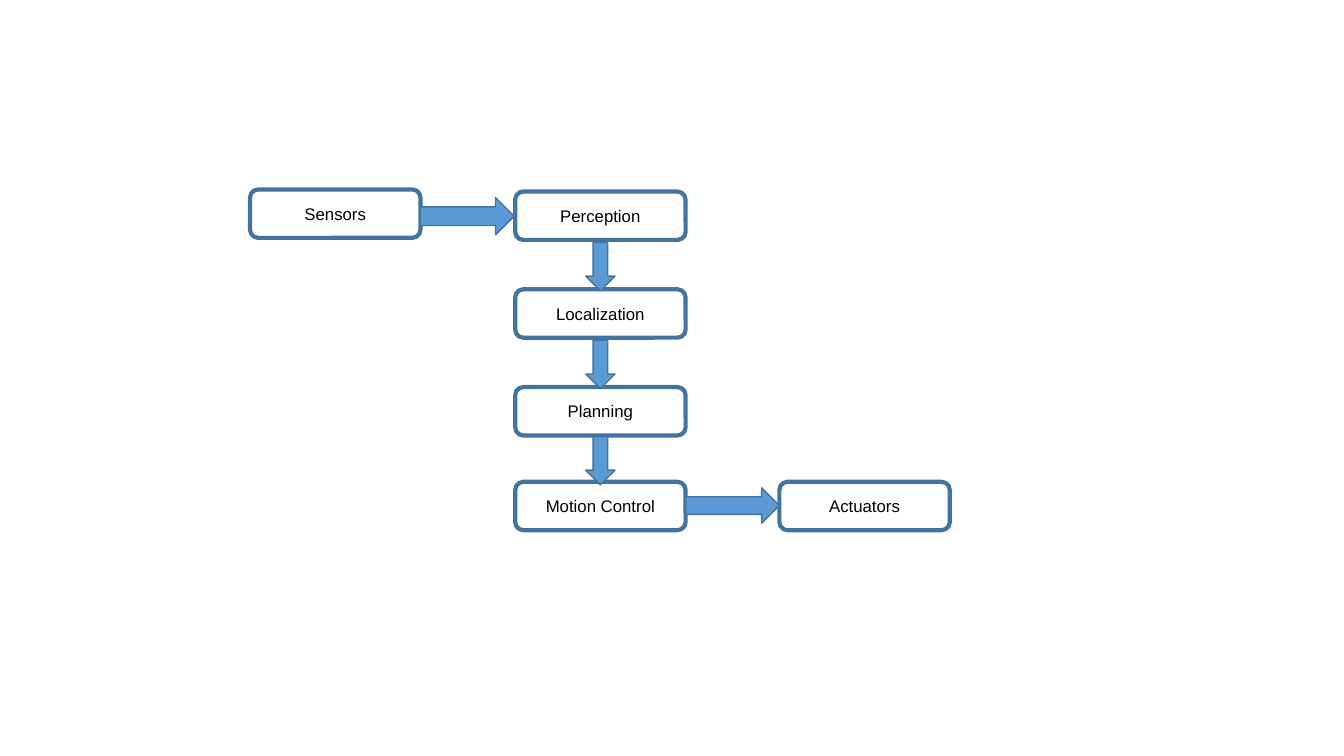
from itertools import pairwise

from pptx import Presentation
from pptx.dml.color import RGBColor
from pptx.enum.shapes import MSO_SHAPE
from pptx.enum.text import MSO_ANCHOR, PP_ALIGN
from pptx.util import Inches, Pt

ROUND_RECT = MSO_SHAPE.ROUNDED_RECTANGLE
RIGHT_ARROW = MSO_SHAPE.RIGHT_ARROW
MIDDLE = MSO_ANCHOR.MIDDLE
CENTER = PP_ALIGN.CENTER

COLORS = {"line": "43739E", "arrow": "5B9BD5", "text": "000000"}
BOX_W, BOX_H = 1.69, 0.48
STAGE_X = 5.11
STAGES = {"Perception": 1.9, "Localization": 2.87, "Planning": 3.84, "Motion Control": 4.78}
SENSORS = (2.48, 1.88)
ACTUATORS = (7.73, 4.78)
ARROW_W = 0.93
DOWN_LENGTH, DOWN_THICKNESS = 0.48, 0.29


def color(name):
    return RGBColor.from_string(COLORS[name])


def write(tf, text, size=12, font="Arial", fill="text", align=CENTER, anchor=MIDDLE):
    tf.word_wrap = True
    tf.vertical_anchor = anchor
    p = tf.paragraphs[0]
    p.alignment = align
    r = p.add_run()
    r.text = text
    r.font.size = Pt(size)
    r.font.name = font
    r.font.color.rgb = color(fill)


class Diagram:
    def __init__(self, slide):
        self.slide = slide

    def outline(self, kind, x, y, w, h, line_width):
        sp = self.slide.shapes.add_shape(kind, Inches(x), Inches(y), Inches(w), Inches(h))
        sp.shadow.inherit = False
        sp.line.color.rgb = color("line")
        sp.line.width = Pt(line_width)
        return sp

    def box(self, text, x, y):
        sp = self.outline(ROUND_RECT, x, y, BOX_W, BOX_H, 3)
        sp.fill.background()
        write(sp.text_frame, text)

    def arrow(self, x, y, w, h, rotation=0):
        sp = self.outline(RIGHT_ARROW, x, y, w, h, 1)
        sp.fill.solid()
        sp.fill.fore_color.rgb = color("arrow")
        sp.rotation = rotation

    def down_arrow(self, upper_y, lower_y):
        """Point from one stage to the next, slightly overlapping the lower box."""
        cx = STAGE_X + BOX_W / 2
        cy = (upper_y + BOX_H + lower_y) / 2 + 0.02
        self.arrow(cx - DOWN_LENGTH / 2, cy - DOWN_THICKNESS / 2,
                   DOWN_LENGTH, DOWN_THICKNESS, rotation=90)


def main():
    prs = Presentation()
    prs.slide_width, prs.slide_height = Inches(13.33), Inches(7.5)
    s = Diagram(prs.slides.add_slide(prs.slide_layouts[6]))

    for stage, y in STAGES.items():
        s.box(stage, STAGE_X, y)
    s.box("Sensors", *SENSORS)
    s.box("Actuators", *ACTUATORS)

    s.arrow(SENSORS[0] + BOX_W, 1.96, ARROW_W, 0.37)
    s.arrow(STAGE_X + BOX_W, 4.84, ARROW_W, 0.35)
    for upper_y, lower_y in pairwise(STAGES.values()):
        s.down_arrow(upper_y, lower_y)

    prs.save("out.pptx")


if __name__ == "__main__":
    main()
